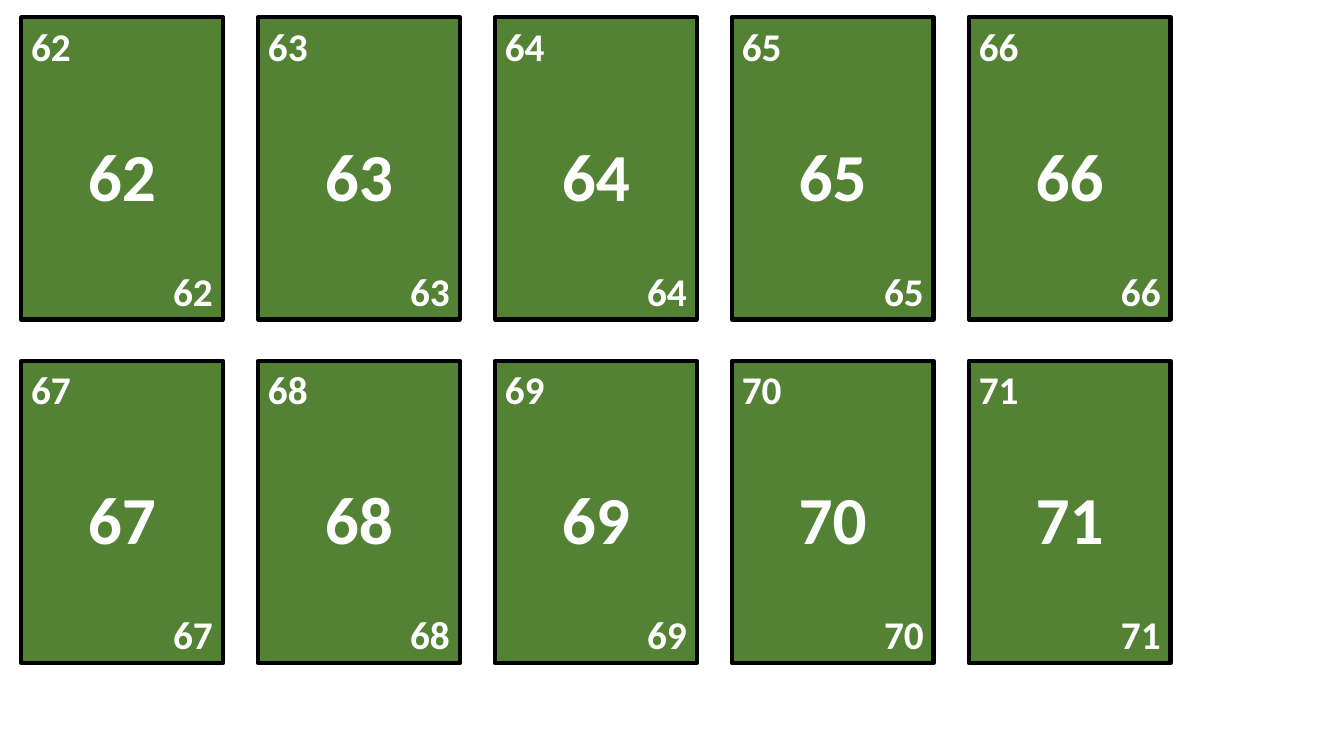
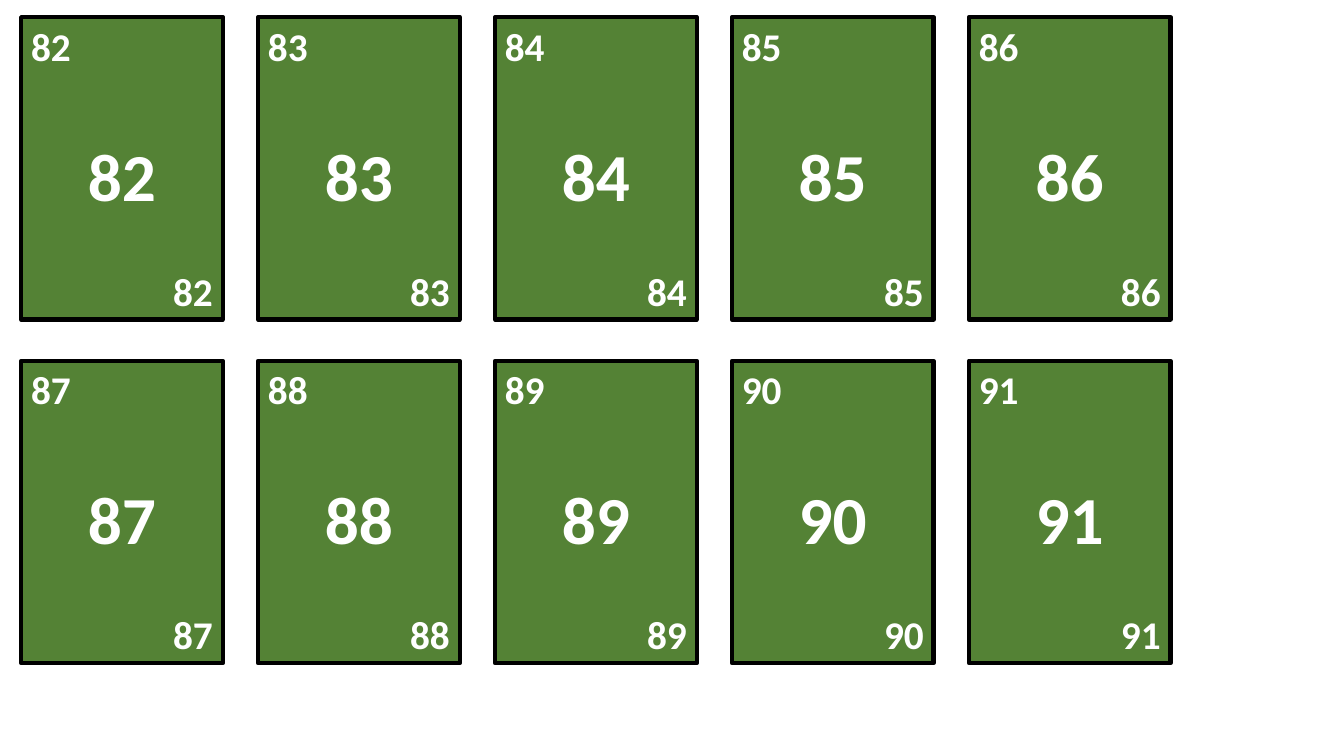
import pptx
import pptx.util
import pptx.dml.color
import pptx.enum.shapes
import pptx.enum.text

Inches = pptx.util.Inches
Pt = pptx.util.Pt
ALIGN = pptx.enum.text.PP_ALIGN

DECKS = [range(62, 72), range(82, 92)]
COLORS = {"card": "548235", "edge": "000000", "text": "FFFFFF"}
FONT = "Calibri"
COLS = 5
LEFT, TOP = 0.21, 0.17
WIDTH, HEIGHT = 2, 3
STEP_X, STEP_Y = 2.35, 3.41
LABELS = [
    (1.11, 0.91, 48, ALIGN.CENTER),
    (0, 0.57, 28, ALIGN.LEFT),
    (2.43, 0.57, 28, ALIGN.RIGHT),
]


def color(name):
    return pptx.dml.color.RGBColor.from_string(COLORS[name])


def add_label(group, text, x, y, height, size, align):
    box = group.shapes.add_textbox(Inches(x), Inches(y), Inches(WIDTH), Inches(height))
    frame = box.text_frame
    frame.word_wrap = True
    frame.auto_size = pptx.enum.text.MSO_AUTO_SIZE.SHAPE_TO_FIT_TEXT
    para = frame.paragraphs[0]
    para.alignment = align
    run = para.add_run()
    run.text = text
    run.font.name = FONT
    run.font.size = Pt(size)
    run.font.bold = True
    run.font.color.rgb = color("text")


def add_card(slide, number, x, y):
    group = slide.shapes.add_group_shape()
    card = group.shapes.add_shape(
        pptx.enum.shapes.MSO_SHAPE.RECTANGLE,
        Inches(x), Inches(y), Inches(WIDTH), Inches(HEIGHT),
    )
    card.shadow.inherit = False
    card.fill.solid()
    card.fill.fore_color.rgb = color("card")
    card.line.color.rgb = color("edge")
    card.line.width = Pt(3)
    for drop, height, size, align in LABELS:
        add_label(group, str(number), x, y + drop, height, size, align)


deck = pptx.Presentation()
deck.slide_width = Inches(13.33)
deck.slide_height = Inches(7.5)
for numbers in DECKS:
    slide = deck.slides.add_slide(deck.slide_layouts[6])
    for index, number in enumerate(numbers):
        row, col = divmod(index, COLS)
        add_card(slide, number, LEFT + col * STEP_X, TOP + row * STEP_Y)
deck.save("out.pptx")
